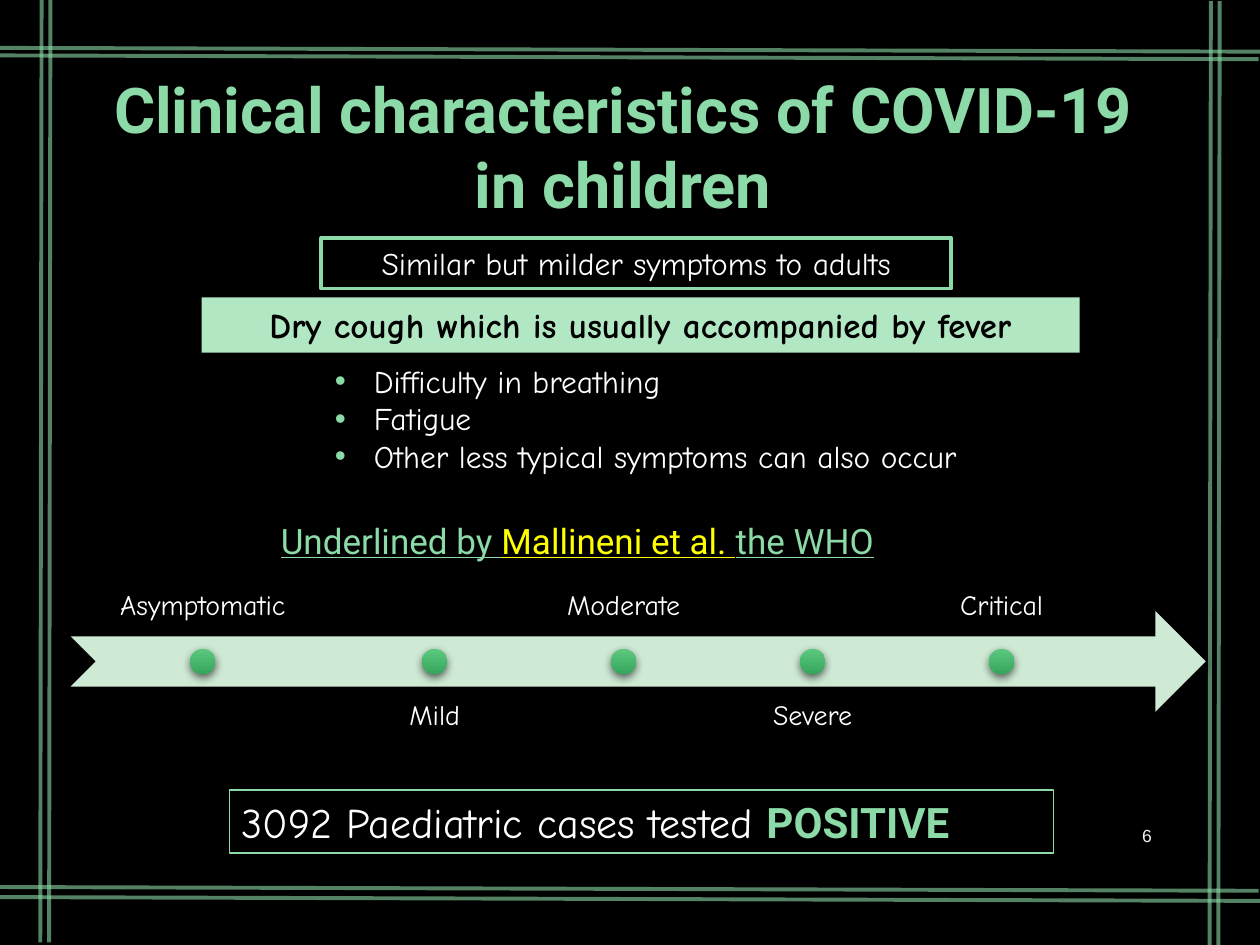
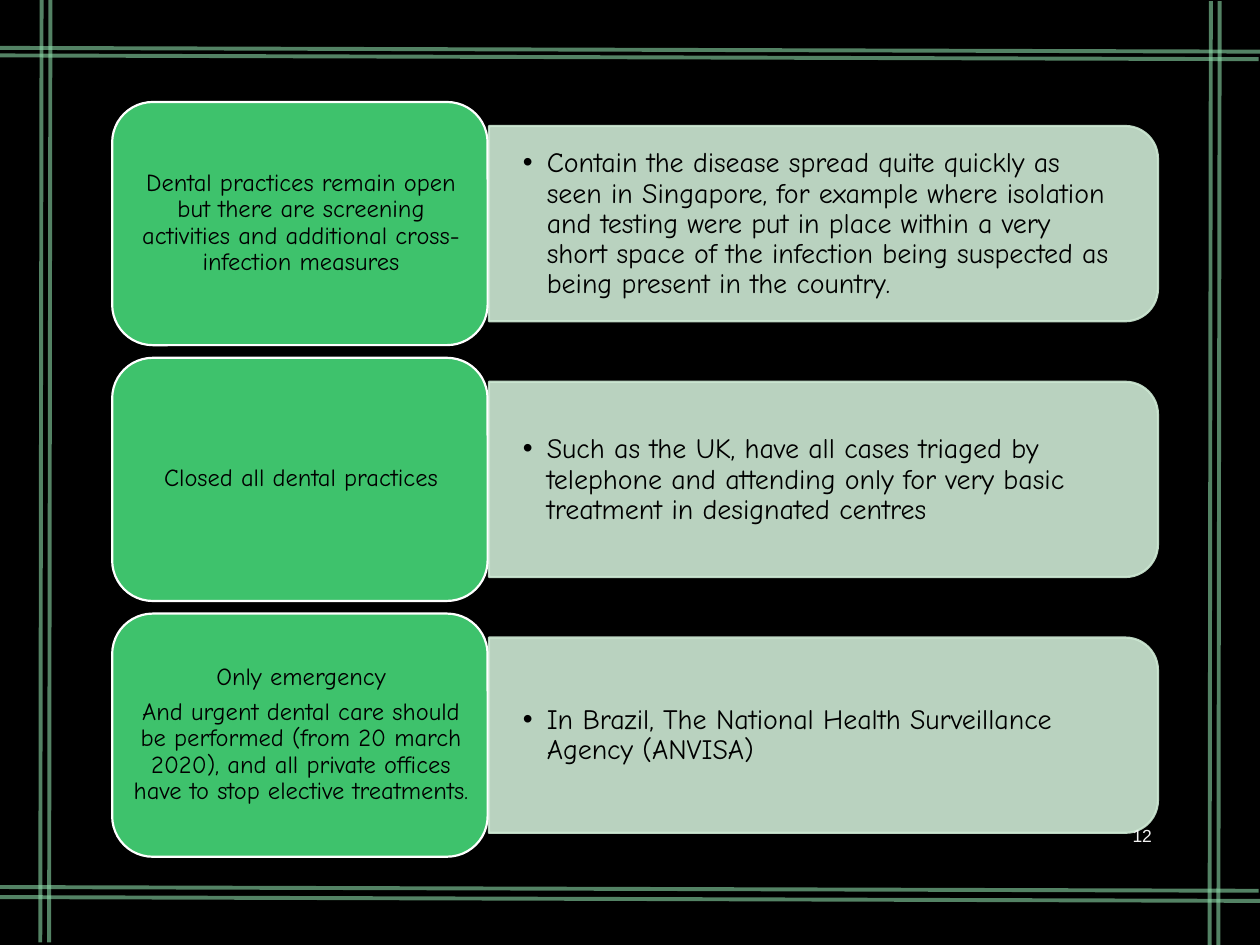
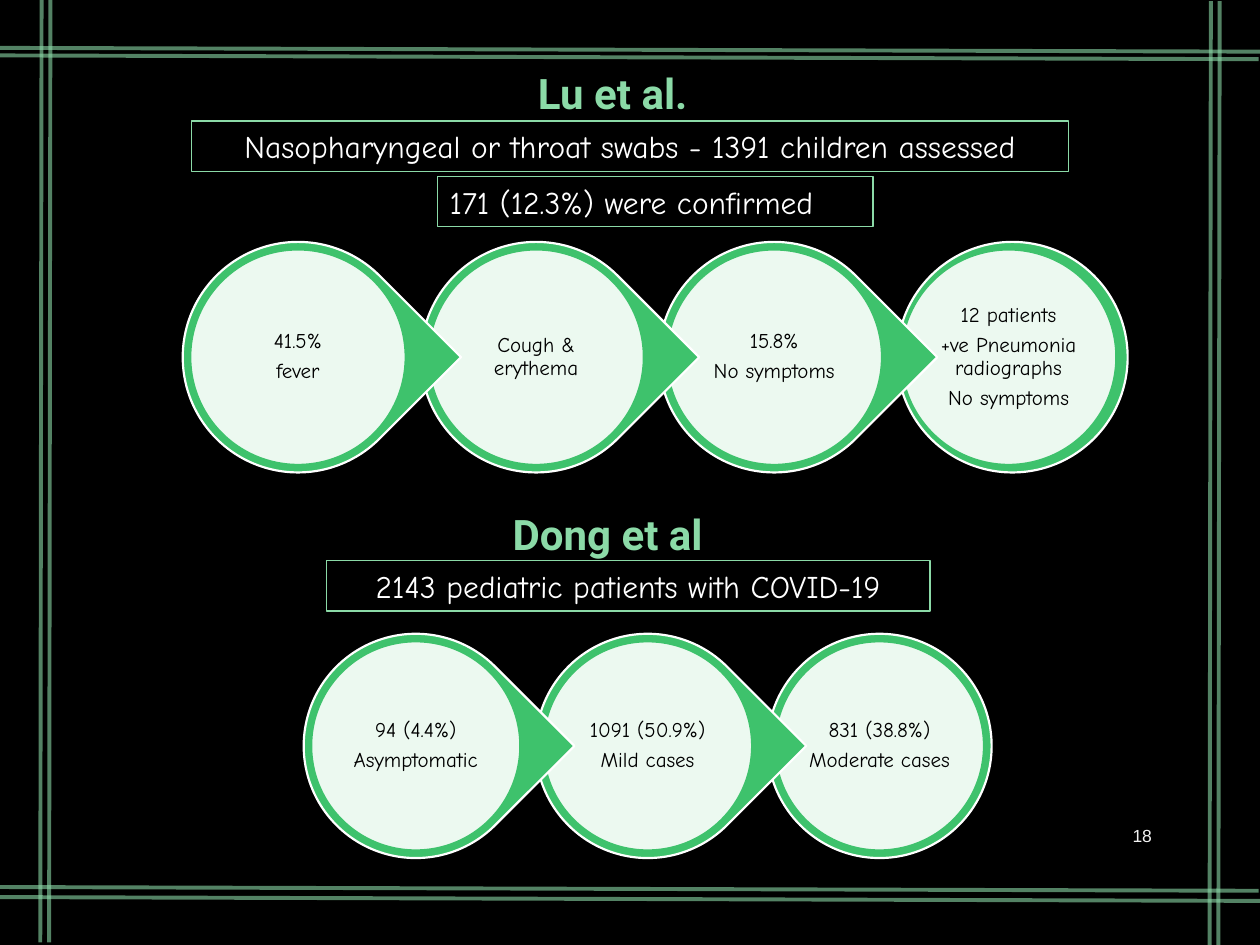
from lxml import etree
from pptx import Presentation
from pptx import util as u
from pptx.dml import color
from pptx.enum import shapes, text
from pptx.oxml import ns

MINT, GREEN, PALE = "8BDAA7", "3EC26C", "CEE9D4"
WHITE, BLACK = "FFFFFF", "000000"
BODY, HEADING = "Comic Neue", "Roboto"
LEFT, CENTER, RIGHT = text.PP_ALIGN.LEFT, text.PP_ALIGN.CENTER, text.PP_ALIGN.RIGHT
TOP, MIDDLE, BOTTOM = text.MSO_ANCHOR.TOP, text.MSO_ANCHOR.MIDDLE, text.MSO_ANCHOR.BOTTOM
FORM = shapes.MSO_SHAPE

FRAME_LINES = [
    (0.33, -0.02, 0.32, 7.48), (0, 0.38, 10, 0.41),
    (0, 7.12, 10, 7.15), (0.4, -0.02, 0.39, 7.48),
    (-0.01, 0.44, 9.99, 0.47), (-0.01, 7.04, 9.99, 7.07),
    (9.61, 0.01, 9.6, 7.51), (9.68, 0.01, 9.67, 7.51),
]


def rgb(value):
    return color.RGBColor.from_string(value)


def inches(*lengths):
    return [u.Inches(length) for length in lengths]


def add_element(parent, tag, **attributes):
    values = {name: str(value) for name, value in attributes.items()}
    return etree.SubElement(parent, ns.qn(tag), values)


def fade(shape, percent):
    for paint in shape.element.spPr.iter(ns.qn("a:srgbClr")):
        for alpha in paint.findall(ns.qn("a:alpha")):
            paint.remove(alpha)
        add_element(paint, "a:alpha", val=percent * 1000)


def add_shadow(shape, percent, blur, distance, angle):
    effects = shape.element.spPr.find(ns.qn("a:effectLst"))
    shadow = add_element(effects, "a:outerShdw", blurRad=u.Pt(blur), dist=u.Pt(distance),
                         dir=angle * 60000, rotWithShape=0)
    paint = add_element(shadow, "a:srgbClr", val=BLACK)
    add_element(paint, "a:alpha", val=percent * 1000)


def add_block(page, form, place, fill=None, line=None, weight=1.25, opacity=100, turn=0):
    block = page.shapes.add_shape(form, *inches(*place))
    block.shadow.inherit = False
    block.rotation = turn
    if fill:
        block.fill.solid()
        block.fill.fore_color.rgb = rgb(fill)
        if opacity < 100:
            fade(block, opacity)
    else:
        block.fill.background()
    if line:
        block.line.color.rgb = rgb(line)
        block.line.width = u.Pt(weight)
    else:
        block.line.fill.background()
    return block


def add_bullet(para, indent, paint):
    properties = para._p.get_or_add_pPr()
    properties.set("marL", str(u.Inches(indent)))
    properties.set("indent", str(-u.Inches(indent)))
    add_element(add_element(properties, "a:buClr"), "a:srgbClr", val=paint)
    add_element(properties, "a:buFont", typeface="Arial")
    add_element(properties, "a:buChar", char="•")


def write(box, paragraphs, size=18, font=BODY, paint=WHITE, bold=False, underline=False,
          align=LEFT, anchor=TOP, inset=(0.1, 0.05), spacing=None, after=0,
          bullet=None, bullet_paint=BLACK):
    frame = box.text_frame
    frame.word_wrap = True
    frame.vertical_anchor = anchor
    frame.margin_left = frame.margin_right = u.Inches(inset[0])
    frame.margin_top = frame.margin_bottom = u.Inches(inset[1])
    for index, spans in enumerate(paragraphs):
        para = frame.add_paragraph() if index else frame.paragraphs[0]
        if bullet:
            add_bullet(para, bullet, bullet_paint)
        para.alignment = align
        if spacing:
            para.line_spacing = spacing
            para.space_after = u.Pt(round(size * after, 1))
        for words, *changes in ([(spans,)] if isinstance(spans, str) else spans):
            look = {"font": font, "paint": paint, "bold": bold}
            look.update(*changes)
            span = para.add_run()
            span.text = words
            span.font.size = u.Pt(size)
            span.font.name = look["font"]
            span.font.bold = look["bold"]
            span.font.underline = underline
            span.font.color.rgb = rgb(look["paint"])


def add_text(page, place, paragraphs, **style):
    write(page.shapes.add_textbox(*inches(*place)), paragraphs, **style)


def add_heading(page, place, words, **style):
    add_text(page, place, [words], font=HEADING, paint=MINT, bold=True, **style)


def add_outlined_note(page, place, spans, weight=0.75, **style):
    note = add_block(page, FORM.RECTANGLE, place, line=MINT, weight=weight)
    write(note, [spans], **style)


def add_page(deck, number):
    page = deck.slides.add_slide(deck.slide_layouts[6])
    for ends in FRAME_LINES:
        rule = page.shapes.add_connector(shapes.MSO_CONNECTOR.STRAIGHT, *inches(*ends))
        rule.line.color.rgb = rgb(MINT)
        rule.line.width = u.Pt(2.25)
        fade(rule, 60)
        add_element(rule.element.spPr, "a:effectLst")
    return page


def add_number(page, number):
    add_text(page, (8.62, 6.43, 0.62, 0.4), [str(number)], size=10, font="Arial",
             paint="F2F2F2", align=RIGHT, anchor=MIDDLE)


def add_timeline(page, stages):
    arrow = add_block(page, FORM.NOTCHED_RIGHT_ARROW, (0.56, 4.85, 9.01, 0.8), PALE)
    add_shadow(arrow, 60, 5, 2, 90)
    for index, (name, center, width) in enumerate(stages):
        above = index % 2 == 0
        add_text(page, (center - width / 2, 4.25 if above else 5.45, width, 0.8), [name],
                 size=16, align=CENTER, anchor=BOTTOM if above else TOP,
                 inset=(0.12, 0.12), spacing=0.9, after=0.35)
        dot = add_block(page, FORM.OVAL, (center - 0.1, 5.15, 0.2, 0.2), GREEN)
        dot.fill.gradient()
        dot.fill.gradient_angle = 270
        for stop, paint in zip(dot.fill.gradient_stops, ("5CC87E", "35A75D")):
            stop.color.rgb = rgb(paint)
        add_shadow(dot, 60, 5, 2, 90)


def add_policy(page, top, measures, example):
    panel = add_block(page, FORM.ROUND_2_SAME_RECTANGLE, (5.76, top - 1.69, 1.55, 5.31),
                      PALE, PALE, turn=90)
    fade(panel, 90)
    add_text(page, (3.88, top + 0.27, 5.23, 1.4), [example], size=16, paint=BLACK,
             anchor=MIDDLE, inset=(0.27, 0.14), spacing=0.9, after=0.15, bullet=0.19)
    add_block(page, FORM.ROUNDED_RECTANGLE, (0.89, top, 2.98, 1.93), GREEN, WHITE)
    add_text(page, (0.99, top + 0.09, 2.8, 1.74), measures, size=14, paint=BLACK,
             align=CENTER, anchor=MIDDLE, inset=(0.06, 0.03), spacing=0.9, after=0.35)


def add_chain(page, left, top, step, size, disc, findings, last_inset=0.06):
    last = len(findings) - 1
    for index in range(last, -1, -1):
        x = left + index * step
        form, turn, inset = (FORM.OVAL, 0, last_inset) if index == last else (FORM.TEAR, 45, 0.06)
        y = top + (size - disc) / 2
        add_block(page, form, (x, top, size, size), GREEN, WHITE, turn=turn)
        add_block(page, FORM.OVAL, (x + inset, y, disc, disc), WHITE, GREEN, opacity=90)
        add_text(page, (x + inset + 0.24, y + 0.24, disc - 0.48, disc - 0.48), findings[index],
                 size=12, paint=BLACK, align=CENTER, anchor=MIDDLE, inset=(0.02, 0.02),
                 spacing=0.9, after=0.35)


def build_characteristics(deck):
    page = add_page(deck, 6)
    add_heading(page, (0.6, 0.51, 8.69, 0.97),
                "Clinical characteristics of COVID-19 in children", size=36, align=CENTER)
    band = add_block(page, FORM.RECTANGLE, (1.6, 2.36, 6.97, 0.44), "B2E7C4")
    add_shadow(band, 40, 4, 3, 45)
    write(band, ["Dry cough which is usually accompanied by fever"], size=20,
          paint=BLACK, bold=True, align=CENTER)
    add_text(page, (2.56, 2.82, 5.56, 1.01),
             ["Difficulty in breathing", "Fatigue", "Other less typical symptoms can also occur"],
             bullet=0.31, bullet_paint=MINT)
    add_timeline(page, [("Asymptomatic", 1.61, 2.11), ("Mild", 3.45, 1.43),
                        ("Moderate", 4.95, 1.43), ("Severe", 6.45, 1.43),
                        ("Critical", 7.95, 1.43)])
    add_outlined_note(page, (2.55, 1.89, 5, 0.4), "Similar but milder symptoms to adults",
                      weight=2.25, align=CENTER)
    add_outlined_note(page, (1.82, 6.27, 6.54, 0.5),
                      [("3092 Paediatric cases tested ",),
                       ("POSITIVE", {"font": HEADING, "paint": MINT, "bold": True})], size=24)
    add_text(page, (2.13, 4.07, 5.81, 0.44),
             [[("Underlined by ",), ("Mallineni et al. ", {"paint": "FFFF00"}), ("the WHO",)]],
             size=20, font=HEADING, paint=MINT, underline=True)
    add_number(page, 6)


def build_policies(deck):
    page = add_page(deck, 12)
    policies = [
        (["Dental practices remain open but there are screening activities and additional "
          "cross-infection measures"],
         "Contain the disease spread quite quickly as seen in Singapore, for example where "
         "isolation and testing were put in place within a very short space of the infection "
         "being suspected as being present in the country."),
        (["Closed all dental practices"],
         "Such as the UK, have all cases triaged by telephone and attending only for very basic "
         "treatment in designated centres"),
        (["Only emergency",
          "And urgent dental care should be performed (from 20 march 2020), and all private "
          "offices have to stop elective treatments."],
         "In Brazil, The National Health Surveillance Agency (ANVISA)"),
    ]
    for index, (measures, example) in enumerate(policies):
        add_policy(page, 0.81 + 2.03 * index, measures, example)
    add_number(page, 12)


def build_studies(deck):
    page = add_page(deck, 18)
    add_heading(page, (3.97, 3.99, 1.97, 0.5), "Dong et al", size=24)
    add_outlined_note(page, (2.59, 4.45, 4.79, 0.4), "2143 pediatric patients with COVID-19",
                      align=CENTER)
    add_chain(page, 2.41, 5.03, 1.84, 1.78, 1.66,
              [["94 (4.4%)", "Asymptomatic"], ["1091 (50.9%)", "Mild cases"],
               ["831 (38.8%)", "Moderate cases"]])
    add_heading(page, (4.17, 0.49, 1.6, 0.5), "Lu et al.", size=24)
    add_outlined_note(page, (1.52, 0.96, 6.96, 0.4),
                      "Nasopharyngeal or throat swabs - 1391 children assessed", align=CENTER)
    add_outlined_note(page, (3.47, 1.4, 3.46, 0.4), "171 (12.3%) were confirmed")
    add_chain(page, 1.45, 1.92, 1.89, 1.83, 1.71,
              [["41.5%", "fever"], ["Cough & erythema"], ["15.8%", "No symptoms"],
               ["12 patients", "+ve Pneumonia radiographs", "No symptoms"]], last_inset=0.03)
    add_number(page, 18)


def main():
    deck = Presentation()
    deck.slide_width, deck.slide_height = inches(10, 7.5)
    backdrop = deck.slide_master.background.fill
    backdrop.solid()
    backdrop.fore_color.rgb = rgb(BLACK)
    build_characteristics(deck)
    build_policies(deck)
    build_studies(deck)
    deck.save("out.pptx")


if __name__ == "__main__":
    main()
